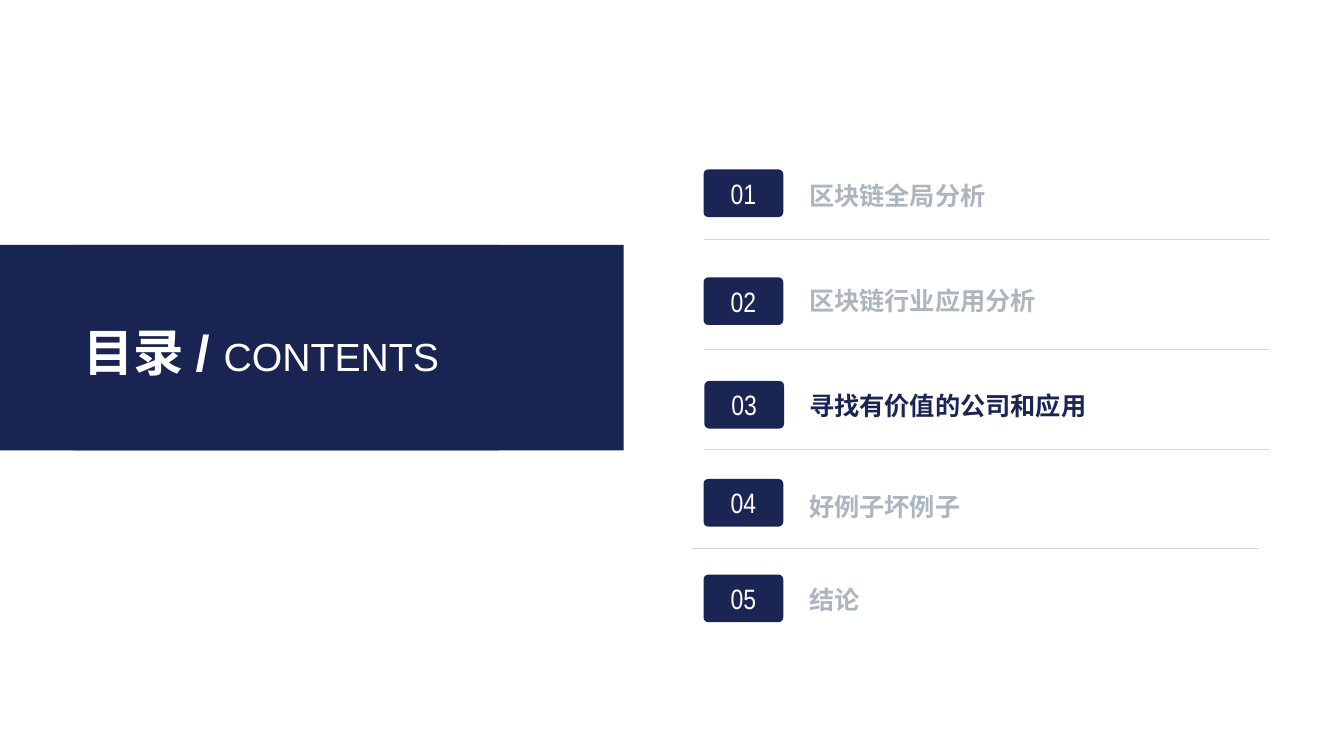
from lxml import etree
from pptx import Presentation
from pptx import util as u
from pptx.dml import color
from pptx.enum import shapes, text
from pptx.oxml import ns

NAVY, GREY, WHITE, RULE = "1A2554", "ADB5BF", "FFFFFF", "D9D9D9"
CHAPTERS = [
    ("区块链全局分析", GREY, 17.73, 4.27, 4.34),
    ("区块链行业应用分析", GREY, 17.73, 6.99, 6.99),
    ("寻找有价值的公司和应用", NAVY, 17.75, 9.6, 9.63),
    ("好例子坏例子", GREY, 17.73, 12.07, 12.19),
    ("结论", GREY, 17.73, 14.48, 14.53),
]
DIVIDERS = [(17.73, 6.02), (17.73, 8.79), (17.73, 11.33), (17.45, 13.82)]


def rgb(value):
    """Turn a hex string into a colour."""
    return color.RGBColor.from_string(value)


def box(left, top, width, height):
    """Convert a frame in centimetres to lengths."""
    return [u.Cm(length) for length in (left, top, width, height)]


def add_run(paragraph, content, *, size, fill, font="Arial", bold=False):
    """Append formatted text to a paragraph."""
    run = paragraph.add_run()
    run.text = content
    run.font.name = font
    run.font.size = u.Pt(size)
    run.font.bold = bold
    run.font.color.rgb = rgb(fill)


def add_block(slide, kind, frame, fill, opacity=None):
    """Draw a filled shape without outline or shadow."""
    shape = slide.shapes.add_shape(kind, *box(*frame))
    shape.shadow.inherit = False
    shape.fill.solid()
    shape.fill.fore_color.rgb = rgb(fill)
    shape.line.fill.background()
    if opacity is not None:
        tint = shape.element.spPr.find(".//" + ns.qn("a:srgbClr"))
        etree.SubElement(tint, ns.qn("a:alpha"), val=str(opacity * 1000))
    return shape


def add_title(slide):
    """Draw the title band and place the title over it."""
    rectangle = shapes.MSO_SHAPE.RECTANGLE
    add_block(slide, rectangle, (0, 6.17, 15.72, 5.18), "182452")
    panel = add_block(slide, rectangle, (1.85, 6.17, 10.72, 5.18), NAVY, opacity=80)
    title = slide.shapes.title
    panel.element.addnext(title.element)
    title.left, title.top, title.width, title.height = box(1.85, 6.91, 12.27, 2.84)
    frame = title.text_frame
    frame.auto_size = text.MSO_AUTO_SIZE.NONE
    frame.vertical_anchor = text.MSO_ANCHOR.BOTTOM
    paragraph = frame.paragraphs[0]
    paragraph.alignment = text.PP_ALIGN.LEFT
    add_run(paragraph, "目录 / ", size=36, fill=WHITE, bold=True)
    add_run(paragraph, "CONTENTS", size=28, fill=WHITE)


def add_badge(slide, number, left, top):
    """Draw a rounded badge holding a chapter number."""
    kind = shapes.MSO_SHAPE.ROUNDED_RECTANGLE
    badge = add_block(slide, kind, (left, top, 2.01, 1.2), NAVY)
    badge.adjustments[0] = 0.1
    badge.text_frame.vertical_anchor = text.MSO_ANCHOR.MIDDLE
    paragraph = badge.text_frame.paragraphs[0]
    paragraph.alignment = text.PP_ALIGN.CENTER
    add_run(paragraph, f"{number:02}", size=20, fill=WHITE, font="Arial Narrow")


def add_label(slide, content, fill, top):
    """Write a chapter name."""
    label = slide.shapes.add_textbox(*box(20.14, top, 10.26, 0.97))
    label.text_frame.word_wrap = True
    paragraph = label.text_frame.paragraphs[0]
    paragraph.line_spacing = 1.1
    add_run(paragraph, content, size=18, fill=fill, bold=True)


def add_divider(slide, left, top):
    """Draw a thin horizontal rule between chapters."""
    ends = box(left, top, left + 14.27, top)
    divider = slide.shapes.add_connector(shapes.MSO_CONNECTOR.STRAIGHT, *ends)
    divider.line.color.rgb = rgb(RULE)
    divider.line.width = u.Pt(0.25)
    etree.SubElement(divider.element.spPr, ns.qn("a:effectLst"))


def main():
    """Build and save the contents slide."""
    presentation = Presentation()
    presentation.slide_width = u.Cm(33.87)
    presentation.slide_height = u.Cm(19.05)
    slide = presentation.slides.add_slide(presentation.slide_layouts[5])
    add_title(slide)
    for number, (name, fill, left, badge_top, label_top) in enumerate(CHAPTERS, 1):
        add_badge(slide, number, left, badge_top)
        add_label(slide, name, fill, label_top)
    for left, top in DIVIDERS:
        add_divider(slide, left, top)
    presentation.save("out.pptx")


if __name__ == "__main__":
    main()
